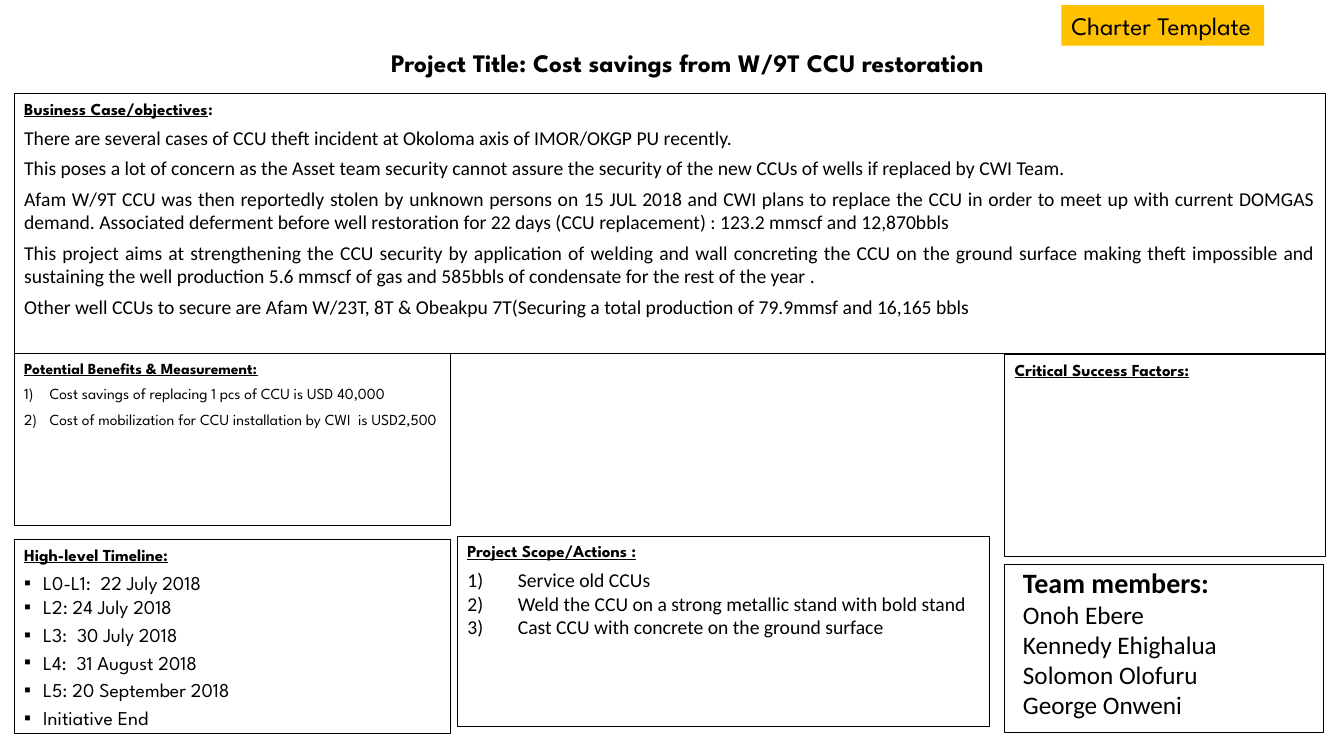
from dataclasses import dataclass
from typing import Optional

import pptx
import pptx.dml.color
import pptx.enum.shapes
import pptx.enum.text
import pptx.oxml
import pptx.oxml.ns
import pptx.util
from pptx.util import Cm

COLORS = {"ink": "000000", "paper": "FFFFFF", "tag": "FFC000"}
DISPLAY, BODY = "League Spartan", "Calibri"
ALIGN = pptx.enum.text.PP_ALIGN
NUMBERED, SQUARE = "number", "square"


@dataclass(frozen=True)
class Line:
    text: str
    size: float = 14
    font: str = BODY
    bold: bool = False
    underline: bool = False
    plain_tail: str = ""
    align: pptx.enum.text.PP_ALIGN = ALIGN.LEFT
    before: float = 0
    after: float = 0
    bullet: Optional[str] = None
    indent: float = 0


@dataclass(frozen=True)
class Panel:
    left: float
    top: float
    width: float
    height: float
    lines: tuple[Line, ...] = ()
    fill: Optional[str] = None
    border: bool = True
    wrap: bool = True
    anchor: pptx.enum.text.MSO_ANCHOR = pptx.enum.text.MSO_ANCHOR.TOP


def heading(text: str, size: float = 12, plain_tail: str = "") -> Line:
    return Line(text, size, DISPLAY, bold=True, underline=True,
                plain_tail=plain_tail, align=ALIGN.JUSTIFY, after=5)


def color(name: str) -> pptx.dml.color.RGBColor:
    return pptx.dml.color.RGBColor.from_string(COLORS[name])


def add_bullet(paragraph, line: Line) -> None:
    properties = paragraph._p.get_or_add_pPr()
    properties.set("marL", str(Cm(line.indent)))
    properties.set("indent", str(-Cm(line.indent)))
    namespace = pptx.oxml.ns.nsdecls("a")
    if line.bullet == NUMBERED:
        marks = [f'<a:buFont {namespace} typeface="+mj-lt"/>',
                 f'<a:buAutoNum {namespace} type="arabicParenR"/>']
    else:
        marks = [f'<a:buFont {namespace} typeface="Arial"/>',
                 f'<a:buChar {namespace} char="▪"/>']
    for mark in marks:
        properties.append(pptx.oxml.parse_xml(mark))


def write_line(paragraph, line: Line) -> None:
    if line.bullet:
        add_bullet(paragraph, line)
    paragraph.alignment = line.align
    paragraph.space_before = pptx.util.Pt(line.before)
    paragraph.space_after = pptx.util.Pt(line.after)
    paragraph.font.name = line.font
    paragraph.font.size = pptx.util.Pt(line.size)
    paragraph.font.bold = line.bold
    paragraph.font.color.rgb = color("ink")
    for text, underline in ((line.text, line.underline), (line.plain_tail, False)):
        if text:
            run = paragraph.add_run()
            run.text = text
            run.font.underline = underline


def draw_panel(slide, panel: Panel) -> None:
    place = [Cm(n) for n in (panel.left, panel.top, panel.width, panel.height)]
    if panel.border or panel.fill:
        shape = slide.shapes.add_shape(pptx.enum.shapes.MSO_SHAPE.RECTANGLE, *place)
        shape.shadow.inherit = False
        if panel.fill:
            shape.fill.solid()
            shape.fill.fore_color.rgb = color(panel.fill)
        else:
            shape.fill.background()
        if panel.border:
            shape.line.color.rgb = color("ink")
            shape.line.width = pptx.util.Pt(0.75)
        else:
            shape.line.fill.background()
    else:
        shape = slide.shapes.add_textbox(*place)
    frame = shape.text_frame
    frame.word_wrap = panel.wrap
    frame.vertical_anchor = panel.anchor
    for index, line in enumerate(panel.lines):
        write_line(frame.add_paragraph() if index else frame.paragraphs[0], line)


# Text of the charter
BUSINESS_CASE = (
    "There are several cases of CCU theft incident at Okoloma axis of IMOR/OKGP PU recently.",
    "This poses a lot of concern as the Asset team security cannot assure the security of "
    "the new CCUs of wells if replaced by CWI Team.",
    "Afam W/9T CCU was then reportedly stolen by unknown persons on 15 JUL 2018 and CWI plans "
    "to replace the CCU in order to meet up with current DOMGAS demand. Associated deferment "
    "before well restoration for 22 days (CCU replacement) : 123.2 mmscf and 12,870bbls",
    "This project aims at strengthening the CCU security by application of welding and wall "
    "concreting the CCU on the ground surface making theft impossible and sustaining the well "
    "production 5.6 mmscf of gas and 585bbls of condensate for the rest of the year .",
    "Other well CCUs to secure are Afam W/23T, 8T & Obeakpu 7T(Securing a total production of "
    "79.9mmsf and 16,165 bbls",
)
ACTIONS = (
    "Service old CCUs",
    "Weld the CCU on a strong metallic stand with bold stand",
    "Cast CCU with concrete on the ground surface",
)
MILESTONES = (
    "L0-L1:  22 July 2018", "L2: 24 July 2018", "L3:  30 July 2018",
    "L4:  31 August 2018", "L5: 20 September 2018", "Initiative End",
)
BENEFITS = (
    "Cost savings of replacing 1 pcs of CCU is USD 40,000",
    "Cost of mobilization for CCU installation by CWI  is USD2,500",
)
MEMBERS = ("Onoh Ebere", "Kennedy Ehighalua", "Solomon Olofuru", "George Onweni")

# Panels, from back to front
PANELS = (
    # Project title
    Panel(1.3, 1.14, 32.05, 0.86, border=False,
          anchor=pptx.enum.text.MSO_ANCHOR.MIDDLE,
          lines=(Line("Project Title: Cost savings from W/9T CCU restoration",
                      18, DISPLAY, bold=True, align=ALIGN.CENTER),)),
    # Business case
    Panel(0.36, 2.36, 33.05, 6.55, lines=(
        heading("Business Case/objectives", plain_tail=":"),
        *(Line(text, align=ALIGN.JUSTIFY, after=5) for text in BUSINESS_CASE))),
    # Project scope
    Panel(11.53, 13.51, 13.41, 4.8, lines=(
        heading("Project Scope/Actions :"),
        *(Line(text, bullet=NUMBERED, indent=1.27) for text in ACTIONS))),
    # Frame around the team
    Panel(25.32, 14.22, 8.03, 4.24),
    # Timeline
    Panel(0.36, 13.59, 11, 4.9, fill="paper", lines=(
        heading("High-level Timeline:"),
        *(Line(text, font=DISPLAY, before=3 if index > 1 else 0,
               bullet=SQUARE, indent=0.48) for index, text in enumerate(MILESTONES)))),
    # Critical success factors
    Panel(25.32, 8.94, 8.08, 5.08, fill="paper",
          lines=(heading("Critical Success Factors:"),)),
    # Potential benefits
    Panel(0.36, 8.92, 11, 4.32, fill="paper", lines=(
        heading("Potential Benefits & Measurement:", 11),
        *(Line(text, 11, DISPLAY, align=ALIGN.JUSTIFY, after=5,
               bullet=NUMBERED, indent=0.64) for text in BENEFITS))),
    # Template tag
    Panel(26.75, 0.13, 5.11, 1.02, fill="tag", border=False, wrap=False,
          lines=(Line("Charter Template", 18, DISPLAY),)),
    # Team members
    Panel(25.53, 14.12, 7.39, 4.19, border=False, lines=(
        Line("Team members:", 20, bold=True),
        *(Line(name, 18) for name in MEMBERS))),
)


def main() -> None:
    charter = pptx.Presentation()
    charter.slide_width, charter.slide_height = Cm(33.87), Cm(19.05)
    slide = charter.slides.add_slide(charter.slide_layouts[6])
    for panel in PANELS:
        draw_panel(slide, panel)
    charter.save("out.pptx")


if __name__ == "__main__":
    main()
